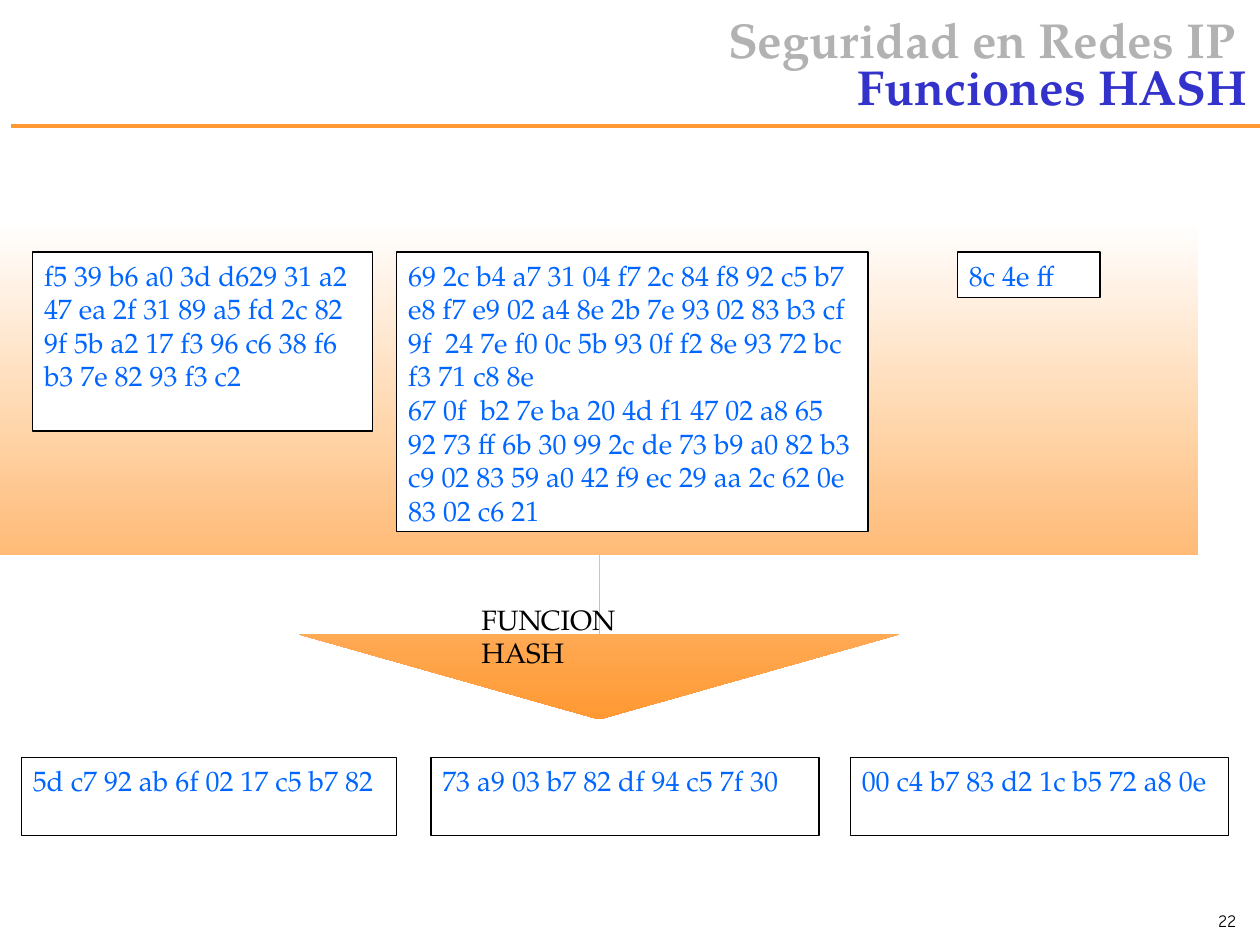
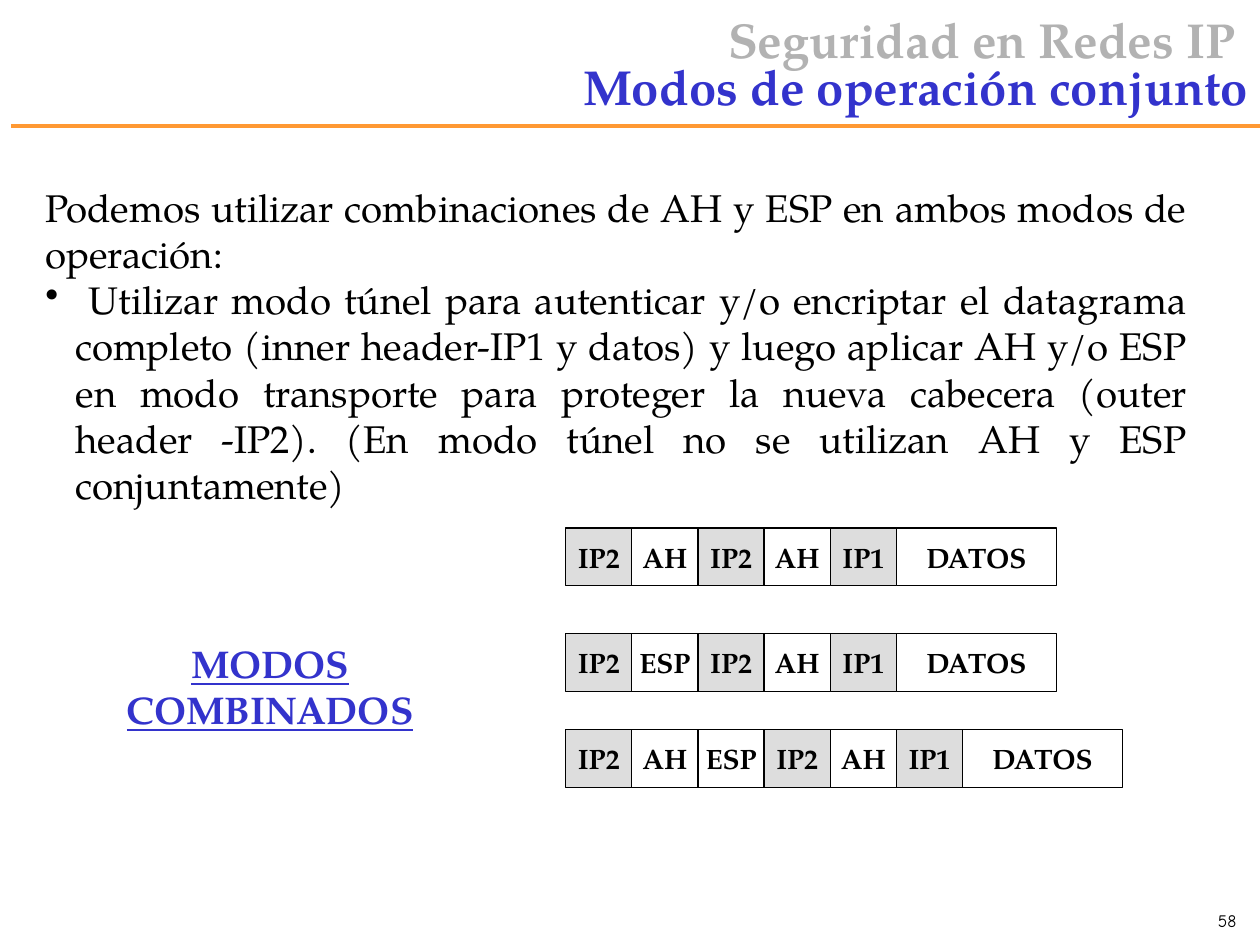
from dataclasses import dataclass
from lxml import etree
from pptx import Presentation
from pptx import util as u
from pptx.dml.color import RGBColor
from pptx.enum import shapes, text
from pptx.oxml import ns

Inches, Pt = u.Inches, u.Pt
Al = text.PP_ALIGN
Mid = text.MSO_ANCHOR.MIDDLE


@dataclass(frozen=True)
class Theme:
    face: str = "TeX Gyre Pagella"
    num_face: str = "Comic Neue"
    black: str = "000000"
    white: str = "FFFFFF"
    orange: str = "FF9933"
    blue: str = "3333CC"
    hex_blue: str = "0066FF"
    grey: str = "B2B2B2"
    shade: str = "DDDDDD"
    head: int = 28
    body: int = 22
    label: int = 16
    num: int = 10


T = Theme()


def rgb(code):
    return RGBColor.from_string(code)


def add_run(para, words, size, color=T.black, bold=False, line=False, face=T.face):
    run = para.add_run()
    run.text = words
    font = run.font
    font.name, font.size = face, Pt(size)
    font.bold, font.underline = bold, line
    font.color.rgb = rgb(color)


def set_frame(shape, wrap=True, anchor=text.MSO_ANCHOR.TOP, side=0.09):
    frame = shape.text_frame
    frame.word_wrap = wrap
    frame.vertical_anchor = anchor
    frame.margin_left = frame.margin_right = Inches(side)
    frame.margin_top = frame.margin_bottom = Inches(0.05)
    return frame


def add_para(frame, first, align=Al.LEFT):
    para = frame.paragraphs[0] if first else frame.add_paragraph()
    para.alignment = align
    return para


def add_text(slide, spot, align=Al.LEFT, **frame_args):
    box = slide.shapes.add_textbox(*map(Inches, spot))
    frame = set_frame(box, **frame_args)
    return frame, add_para(frame, True, align)


def add_box(slide, spot, fill=T.white):
    box = slide.shapes.add_shape(shapes.MSO_SHAPE.RECTANGLE, *map(Inches, spot))
    box.shadow.inherit = False
    box.fill.solid()
    box.fill.fore_color.rgb = rgb(fill)
    box.line.color.rgb = rgb(T.black)
    box.line.width = Pt(0.75)
    return box


def add_hex(slide, spot, *parts):
    frame = set_frame(add_box(slide, spot))
    for i, part in enumerate(parts):
        add_run(add_para(frame, i == 0), part, T.label, T.hex_blue)


def add_funnel(slide, spot):
    funnel = slide.shapes.add_shape(
        shapes.MSO_SHAPE.DOWN_ARROW_CALLOUT, *map(Inches, spot))
    for i, value in enumerate((0, 0.6, 0.17, 0.67)):
        funnel.adjustments[i] = value
    funnel.shadow.inherit = False
    funnel.line.fill.background()
    funnel.fill.gradient()
    funnel.fill.gradient_angle = 270
    for stop, color in zip(funnel.fill.gradient_stops, (T.white, T.orange)):
        stop.color.rgb = rgb(color)


def add_bullet(para, indent):
    props = para._p.get_or_add_pPr()
    props.set("marL", str(Inches(indent)))
    props.set("indent", str(-Inches(indent)))
    etree.SubElement(props, ns.qn("a:buChar")).set("char", "•")


def add_packet(slide, left, top, names):
    step, high = 1.05 / 2, 0.46
    for i, name in enumerate(names):
        wide = 1.27 if name == "DATOS" else step
        fill = T.shade if name.startswith("IP") else T.white
        cell = add_box(slide, (left + i * step, top, wide, high), fill)
        frame = set_frame(cell, wrap=False, anchor=Mid)
        add_run(add_para(frame, True, Al.CENTER), name, T.label, bold=True)


def add_slide(deck, title, number):
    slide = deck.slides.add_slide(deck.slide_layouts[6])
    rule = slide.shapes.add_connector(
        shapes.MSO_CONNECTOR.STRAIGHT, *map(Inches, (0.09, 1, 10, 1)))
    rule.line.color.rgb = rgb(T.orange)
    rule.line.width = Pt(2)
    etree.SubElement(rule._element.spPr, ns.qn("a:effectLst"))

    para = add_text(slide, (2.42, 0.08, 7.58, 0.92), Al.RIGHT, anchor=Mid, side=0.1)[1]
    para.line_spacing = 0.8
    add_run(para, "Seguridad en Redes IP ", T.head, T.grey, bold=True)
    para.add_line_break()
    add_run(para, title, T.head, T.blue, bold=True)

    para = add_text(slide, (7.83, 7.17, 2.08, 0.5), Al.RIGHT, side=0.1)[1]
    add_run(para, str(number), T.num, face=T.num_face)
    return slide


def draw_hash(deck):
    slide = add_slide(deck, "Funciones HASH", 22)
    add_funnel(slide, (0, 1.75, 9.51, 3.96))
    add_hex(slide, (0.26, 2, 2.7, 1.42),
            "f5 39 b6 a0 3d d629 31 a2 47 ea 2f 31 89 a5 fd 2c 82 "
            "9f 5b a2 17 f3 96 c6 38 f6 b3 7e 82 93 f3 c2")
    add_hex(slide, (3.15, 2, 3.74, 2.22),
            "69 2c b4 a7 31 04 f7 2c 84 f8 92 c5 b7 e8 f7 e9 02 a4 8e 2b 7e 93 "
            "02 83 b3 cf 9f  24 7e f0 0c 5b 93 0f f2 8e 93 72 bc f3 71 c8 8e",
            "67 0f  b2 7e ba 20 4d f1 47 02 a8 65 92 73 ff 6b 30 99 2c de 73 b9 "
            "a0 82 b3 c9 02 83 59 a0 42 f9 ec 29 aa 2c 62 0e 83 02 c6 21")
    add_hex(slide, (7.6, 2, 1.13, 0.36), "8c 4e ff")
    digests = (
        (0.17, 2.98, "5d c7 92 ab 6f 02 17 c5 b7 82"),
        (3.42, 3.08, "73 a9 03 b7 82 df 94 c5 7f 30"),
        (6.75, 3, "00 c4 b7 83 d2 1c b5 72 a8 0e"),
    )
    for left, wide, digest in digests:
        add_hex(slide, (left, 6.01, wide, 0.62), digest)
    para = add_text(slide, (3.73, 4.73, 1.88, 0.36))[1]
    add_run(para, "FUNCION HASH", T.label)


def draw_modes(deck):
    slide = add_slide(deck, "Modos de operación conjunto", 58)
    frame, para = add_text(slide, (0.27, 1.41, 9.24, 2.66), Al.JUSTIFY)
    add_run(para, "Podemos utilizar combinaciones de AH y ESP en ambos modos "
            "de operación:", T.body)
    para = add_para(frame, False, Al.JUSTIFY)
    add_bullet(para, 0.24)
    add_run(para, " Utilizar modo túnel para autenticar y/o encriptar el datagrama "
            "completo (inner header-IP1 y datos) y luego aplicar AH y/o ESP en modo "
            "transporte para proteger la nueva cabecera (outer header -IP2). (En modo "
            "túnel no se utilizan AH y ESP conjuntamente)", T.body)
    packets = (
        (4.19, "IP2 AH IP2 AH IP1 DATOS"),
        (5.03, "IP2 ESP IP2 AH IP1 DATOS"),
        (5.79, "IP2 AH ESP IP2 AH IP1 DATOS"),
    )
    for top, names in packets:
        add_packet(slide, 4.49, top, names.split())
    para = add_text(slide, (0.33, 5.03, 3.63, 0.46), Al.CENTER)[1]
    add_run(para, "MODOS COMBINADOS", T.body, T.blue, bold=True, line=True)


def main():
    deck = Presentation()
    deck.slide_width, deck.slide_height = Inches(10), Inches(7.5)
    draw_hash(deck)
    draw_modes(deck)
    deck.save("out.pptx")


if __name__ == "__main__":
    main()
